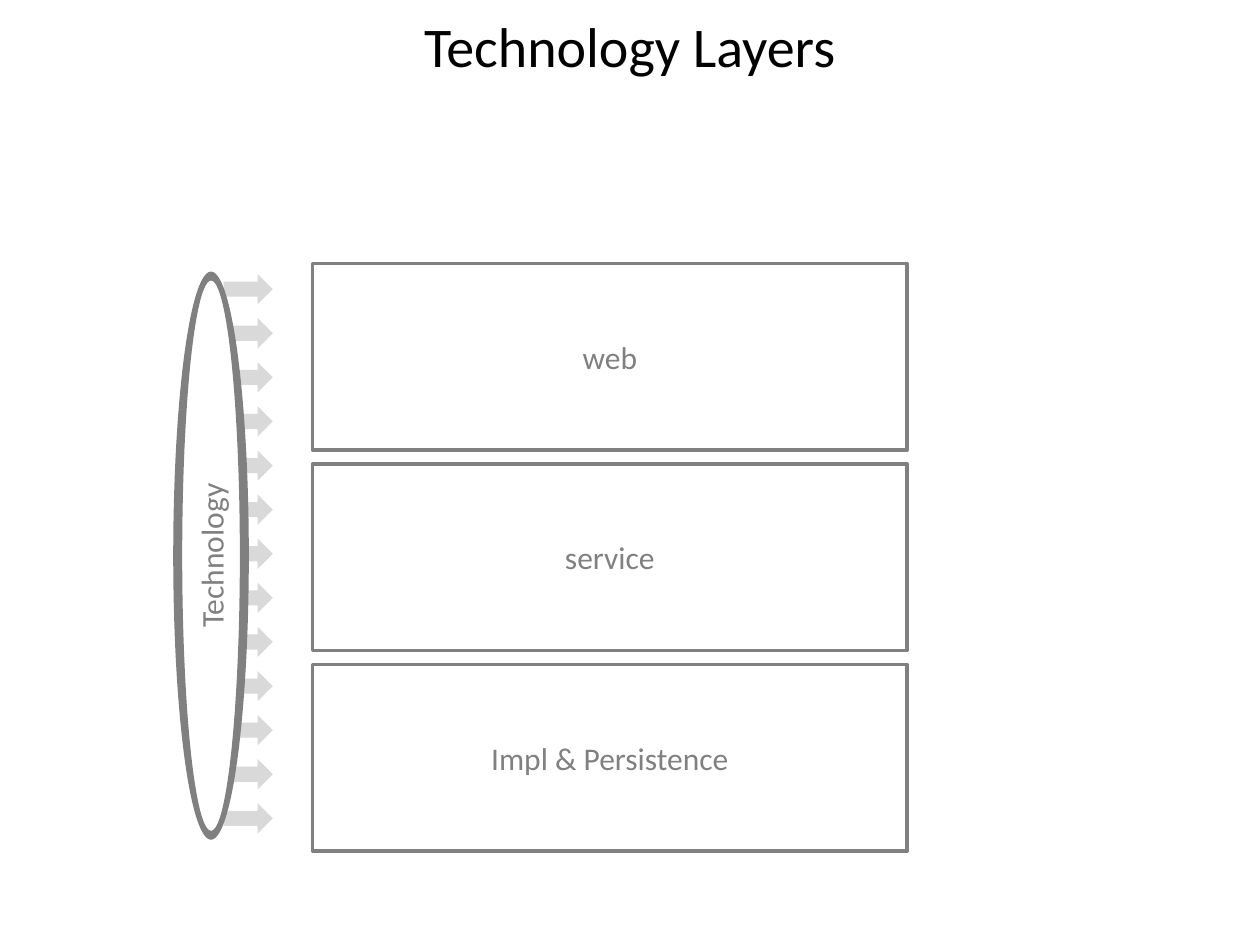
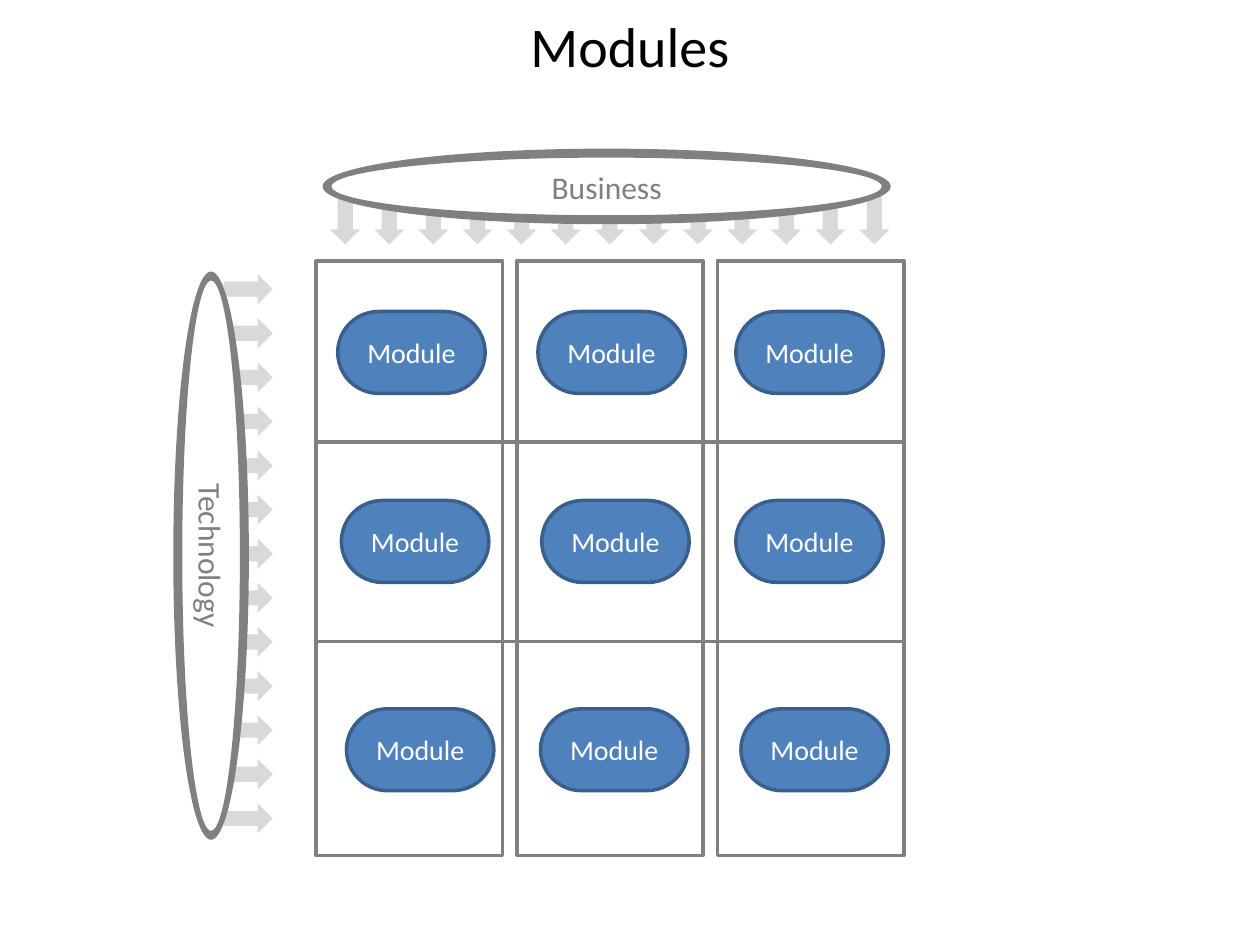
"""Build two slides on technology layers and the modules that cross them."""
from dataclasses import dataclass

from lxml import etree
from pptx import Presentation
from pptx.dml.color import RGBColor
from pptx.enum.shapes import MSO_CONNECTOR, MSO_SHAPE
from pptx.enum.text import MSO_ANCHOR, PP_ALIGN
from pptx.oxml.ns import qn
from pptx.util import Pt

RECTANGLE = MSO_SHAPE.RECTANGLE
ROUNDED = MSO_SHAPE.ROUNDED_RECTANGLE
ELLIPSE = MSO_SHAPE.OVAL
RING = MSO_SHAPE.DONUT
DOWN_ARROW = MSO_SHAPE.DOWN_ARROW
STRAIGHT = MSO_CONNECTOR.STRAIGHT
MIDDLE = MSO_ANCHOR.MIDDLE
CENTER = PP_ALIGN.CENTER


@dataclass(frozen=True)
class Theme:
    """Colours, font and type sizes shared by the slides."""
    font: str = "Calibri"
    black: RGBColor = RGBColor(0x00, 0x00, 0x00)
    white: RGBColor = RGBColor(0xFF, 0xFF, 0xFF)
    gray: RGBColor = RGBColor(0x80, 0x80, 0x80)
    pale: RGBColor = RGBColor(0xD9, 0xD9, 0xD9)
    blue: RGBColor = RGBColor(0x4F, 0x81, 0xBD)
    navy: RGBColor = RGBColor(0x3A, 0x5F, 0x8C)
    title_size: int = 32
    label_size: int = 18
    module_size: int = 16
    line_width: int = 2


THEME = Theme()
LAYERS = ("web", "service", "Impl & Persistence")
LONG_SIDE, SHORT_SIDE, BAND_STEP = 339.84, 106.56, 114.6
ARROW_COUNT, ARROW_STEP = 13, 25.2
ARROW_WIDTH, ARROW_HEIGHT = 17.28, 28.08
RING_LENGTH, RING_DEPTH, BACKING_DEPTH = 324.72, 43.2, 35.28
TECHNOLOGY_LEFT, TECHNOLOGY_TOP = -41.76, 295.92
MODULE_WIDTH, MODULE_HEIGHT = 84.24, 46.8
MODULE_ROWS = (
    (178, (193, 307.4, 420.5)),
    (286, (195.1, 309.6, 420.5)),
    (405, (198, 308.9, 423.4)),
)


def set_format(target, values):
    """Set each named attribute of the target."""
    for name, value in values.items():
        setattr(target, name, value)


def write_text(shape, text, size, color):
    """Write one centred paragraph in the middle of a shape."""
    frame = shape.text_frame
    set_format(frame, {"word_wrap": True, "vertical_anchor": MIDDLE})
    paragraph = frame.paragraphs[0]
    paragraph.alignment = CENTER
    run = paragraph.add_run()
    run.text = text
    set_format(run.font, {"name": THEME.font, "size": Pt(size)})
    run.font.color.rgb = color


def set_line(line, color):
    """Give a line its colour and the shared width."""
    line.color.rgb = color
    line.width = Pt(THEME.line_width)


def add_shape(shapes, kind, box, fill, outline=None, rotation=0):
    """Add a flat preset shape at left, top, width and height."""
    shape = shapes.add_shape(kind, *map(Pt, box))
    set_format(shape, {"rotation": rotation})
    shape.shadow.inherit = False
    shape.fill.solid()
    shape.fill.fore_color.rgb = fill
    if outline is None:
        shape.line.fill.background()
    else:
        set_line(shape.line, outline)
    return shape


def add_title(slide, text):
    """Add the slide title."""
    shape = slide.shapes.add_textbox(*map(Pt, (36, 9.36, 648, 33.12)))
    write_text(shape, text, THEME.title_size, THEME.black)


def add_arrows(slide, left, top, step_across, step_down, rotation=0):
    """Add a grouped row or column of equal arrows."""
    group = slide.shapes.add_group_shape()
    for index in range(ARROW_COUNT):
        box = (left + index * step_across, top + index * step_down,
               ARROW_WIDTH, ARROW_HEIGHT)
        add_shape(group.shapes, DOWN_ARROW, box, THEME.pale, rotation=rotation)


def add_backing(slide, left, top, rotation=0):
    """Add the white ellipse that hides the arrow tails."""
    box = (left, top, RING_LENGTH, BACKING_DEPTH)
    add_shape(slide.shapes, ELLIPSE, box, THEME.white, rotation=rotation)


def add_ring(slide, text, left, top, rotation=0):
    """Add a labelled gray ring."""
    box = (left, top, RING_LENGTH, RING_DEPTH)
    ring = add_shape(slide.shapes, RING, box, THEME.gray, rotation=rotation)
    ring.adjustments[0] = 0.119
    write_text(ring, text, THEME.label_size, THEME.gray)


def add_technology(slide, rotation):
    """Add the technology ring with its arrows to the right."""
    add_arrows(slide, 133.2, 151.2, 0, ARROW_STEP, rotation=270)
    add_backing(slide, TECHNOLOGY_LEFT, TECHNOLOGY_TOP, rotation)
    add_ring(slide, "Technology", TECHNOLOGY_LEFT, TECHNOLOGY_TOP, rotation)


def add_business(slide):
    """Add the business ring with its arrows below."""
    add_arrows(slide, 188.64, 111.6, ARROW_STEP, 0)
    add_backing(slide, 186.48, 88.56, rotation=180)
    add_backing(slide, 184.32, 82.08)
    add_ring(slide, "Business", 184.32, 84.96)


def add_band(shapes, box):
    """Add a white band with a gray outline."""
    return add_shape(shapes, RECTANGLE, box, THEME.white, THEME.gray)


def add_divider(slide, left, top, right):
    """Add a level gray line across the columns."""
    divider = slide.shapes.add_connector(
        STRAIGHT, Pt(left), Pt(top), Pt(right), Pt(top))
    set_line(divider.line, THEME.gray)
    etree.SubElement(divider._element.spPr, qn("a:effectLst"))


def add_module(slide, left, top):
    """Add one blue module pill."""
    box = (left, top, MODULE_WIDTH, MODULE_HEIGHT)
    pill = add_shape(slide.shapes, ROUNDED, box, THEME.blue, THEME.navy)
    pill.adjustments[0] = 0.5
    write_text(pill, "Module", THEME.module_size, THEME.white)


def build_layers(slide):
    """Build the slide of technology layers."""
    add_title(slide, "Technology Layers")
    add_technology(slide, rotation=270)
    for index, layer in enumerate(LAYERS):
        top = 150.6 + index * BAND_STEP
        band = add_band(slide.shapes, (178.56, top, LONG_SIDE, SHORT_SIDE))
        write_text(band, layer, THEME.label_size, THEME.gray)


def build_modules(slide):
    """Build the slide of modules in a grid."""
    add_title(slide, "Modules")
    add_technology(slide, rotation=90)
    add_business(slide)
    columns = slide.shapes.add_group_shape()
    for index in range(len(LAYERS)):
        left = 180.72 + index * BAND_STEP
        add_band(columns.shapes, (left, 149.04, SHORT_SIDE, LONG_SIDE))
    for top in (252.72, 366.48):
        add_divider(slide, 181, top, 516.5)
    for top, lefts in MODULE_ROWS:
        for left in lefts:
            add_module(slide, left, top)


def main():
    """Build and save the presentation."""
    presentation = Presentation()
    set_format(presentation, {"slide_width": Pt(720), "slide_height": Pt(540)})
    blank = presentation.slide_layouts[6]
    for build in (build_layers, build_modules):
        build(presentation.slides.add_slide(blank))
    presentation.save("out.pptx")


if __name__ == "__main__":
    main()
